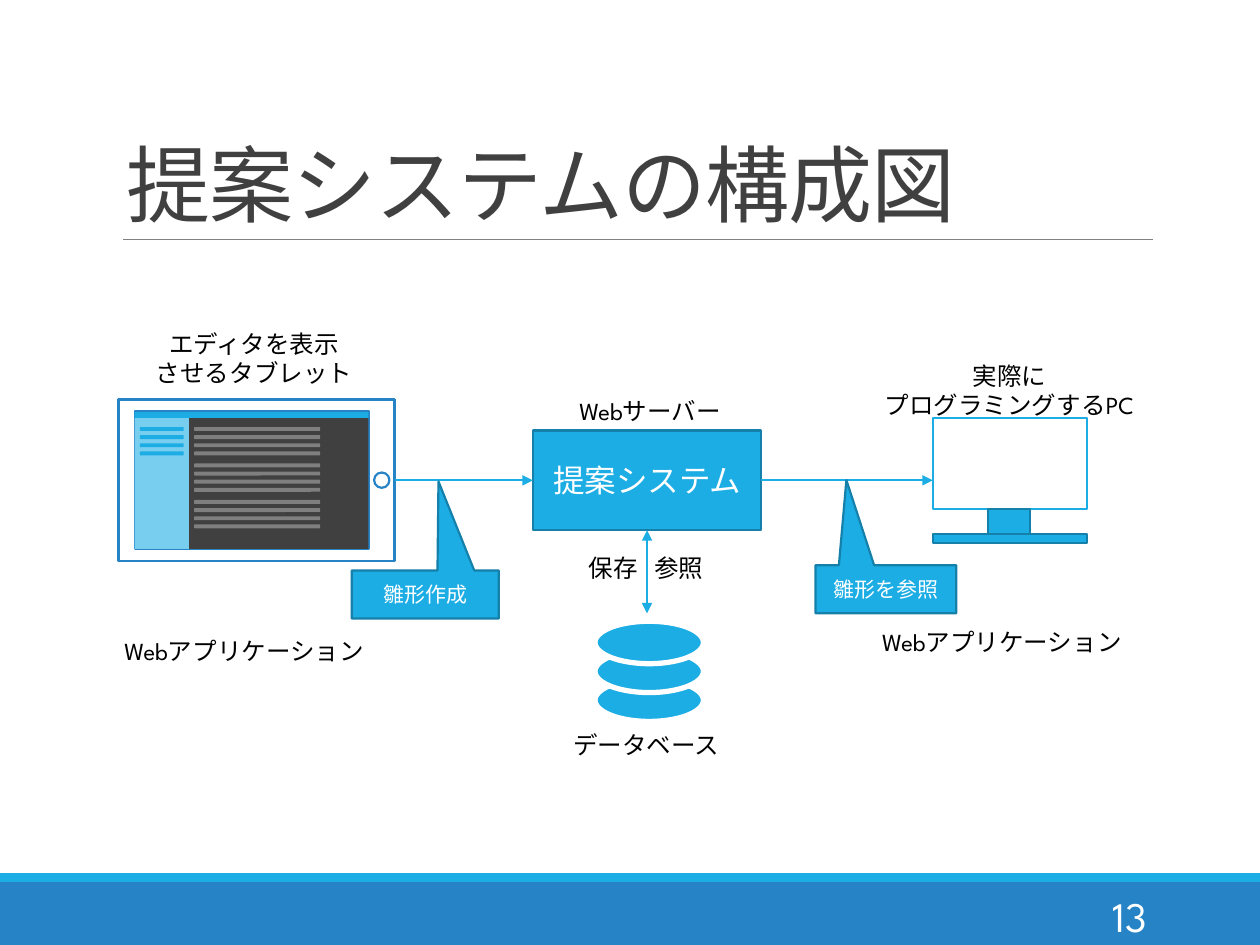
"""Build the slide showing the architecture of the proposed system."""
import pptx
import pptx.dml.color
import pptx.enum.shapes
import pptx.enum.text
import pptx.oxml.ns
import pptx.util
from lxml import etree

Pt = pptx.util.Pt
RGB = pptx.dml.color.RGBColor
SHAPE = pptx.enum.shapes.MSO_SHAPE
ALIGN = pptx.enum.text.PP_ALIGN
ANCHOR = pptx.enum.text.MSO_ANCHOR
qn = pptx.oxml.ns.qn

FONT = "League Spartan"
SKY = RGB(0x1C, 0xAD, 0xE4)
BLUE = RGB(0x26, 0x83, 0xC6)
EDGE = RGB(0x15, 0x80, 0xA9)
PALE = RGB(0x77, 0xCE, 0xEF)
DARK = RGB(0x40, 0x40, 0x40)
GRAY = RGB(0x80, 0x80, 0x80)
SILVER = RGB(0xBF, 0xBF, 0xBF)
WHITE = RGB(0xFF, 0xFF, 0xFF)
BLACK = RGB(0, 0, 0)

TITLE = "提案システムの構成図"
PAGE_NUMBER = "13"
SYSTEM = "提案システム"
LABELS = [
    ("エディタを表示\vさせるタブレット", (65, 184.5, 160.5, 41), ALIGN.CENTER),
    ("Webサーバー", (307.5, 222.5, 128, 24.5), ALIGN.CENTER),
    ("実際に\vプログラミングするPC", (494.5, 202.5, 164.5, 41), ALIGN.CENTER),
    ("保存", (325.5, 312.5, 50, 24.5), ALIGN.CENTER),
    ("参照", (363, 312.5, 50, 24.5), ALIGN.CENTER),
    ("データベース", (314.5, 413.5, 109.5, 24.5), ALIGN.CENTER),
    ("Webアプリケーション", (64, 360, 160, 24.5), ALIGN.LEFT),
    ("Webアプリケーション", (497, 355, 160, 24.5), ALIGN.LEFT),
]
CALLOUTS = [
    ("雛形を参照", (466, 323, 80.5, 27.5), (-0.28, -2.27)),
    ("雛形作成", (201, 326, 84, 27.5), (0.09, -2.35)),
]

SERVER_BOX = (304.5, 246, 130.5, 57)
TABLET_BOX = (67.75, 228.25, 157.75, 92.5)
MONITOR_BOX = (533, 239, 88, 52)
FLOW_Y = SERVER_BOX[1] + SERVER_BOX[3] / 2
SERVER_X = SERVER_BOX[0] + SERVER_BOX[2] / 2
SIDEBAR_LINES = 4
CODE_BLOCKS, BLOCK_LINES = 3, 4
LINES_TOP, LINE_PITCH, BLOCK_PITCH, LINE_HEIGHT = 244, 4.65, 20.85, 2.25
DISKS, DISK_TOP, DISK_PITCH = 3, 355, 16.5

deck = pptx.Presentation()
deck.slide_width, deck.slide_height = Pt(720), Pt(540)
slide = deck.slides.add_slide(deck.slide_layouts[6])


def write(holder, text, size, color, align, anchor):
    frame = holder.text_frame
    frame.word_wrap = True
    frame.vertical_anchor = anchor
    frame.text = text
    paragraph = frame.paragraphs[0]
    paragraph.alignment = align
    paragraph.font.size = Pt(size)
    paragraph.font.name = FONT
    paragraph.font.color.rgb = color
    return paragraph


def add_text(text, box, size, color, align, anchor=ANCHOR.TOP):
    holder = slide.shapes.add_textbox(*map(Pt, box))
    return write(holder, text, size, color, align, anchor)


def add_part(box, fill=None, edge=None, width=1.25, kind=SHAPE.RECTANGLE):
    part = slide.shapes.add_shape(kind, *map(Pt, box))
    part.shadow.inherit = False
    if fill is None:
        part.fill.background()
    else:
        part.fill.solid()
        part.fill.fore_color.rgb = fill
    if edge is None:
        part.line.fill.background()
    else:
        part.line.color.rgb = edge
        part.line.width = Pt(width)
    return part


def add_line(start, end, color, width, arrows=()):
    line = slide.shapes.add_connector(
        pptx.enum.shapes.MSO_CONNECTOR.STRAIGHT, *map(Pt, start + end))
    line.line.color.rgb = color
    line.line.width = Pt(width)
    properties = line._element.spPr
    for arrow in arrows:
        etree.SubElement(properties.find(qn("a:ln")), qn(arrow), type="triangle")
    etree.SubElement(properties, qn("a:effectLst"))
    return line


def add_text_lines(left, top, width, count, color, alpha=None):
    for index in range(count):
        bar = add_part((left, top + index * LINE_PITCH, width, LINE_HEIGHT),
                       color, kind=SHAPE.ROUNDED_RECTANGLE)
        if alpha is not None:
            tint = bar._element.spPr.find(qn("a:solidFill"))[0]
            etree.SubElement(tint, qn("a:alpha"), val=str(alpha * 1000))


add_part((0, 504, 720, 36), BLUE)
add_part((0, 499, 720, 5), SKY)
add_line((70.5, 137), (659, 137), GRAY, 0.5)
title = add_text(TITLE, (65, 22.5, 594, 114.5), 48, DARK, ALIGN.LEFT, ANCHOR.BOTTOM)
title.line_spacing = 0.85
title.runs[0]._r.get_or_add_rPr().set("spc", "-50")
add_text(PAGE_NUMBER, (584.5, 508.5, 78, 29), 24, WHITE, ALIGN.RIGHT, ANCHOR.MIDDLE)

server = add_part(SERVER_BOX, SKY, EDGE)
write(server, SYSTEM, 18, WHITE, ALIGN.CENTER, ANCHOR.MIDDLE)

tablet = add_part(TABLET_BOX, WHITE, BLUE)
add_part((77, 234.75, 134, 78.75), None, BLUE)
add_part((77, 235.5, 133.5, 3.5), SKY)
add_part((213.75, 270, 8.75, 8.75), WHITE, BLUE, kind=SHAPE.OVAL)
add_part((108, 239, 102.5, 74.75), DARK)
add_part((77, 239, 31, 74.75), PALE)
add_text_lines(80, LINES_TOP, 25, SIDEBAR_LINES, SKY)
for block in range(CODE_BLOCKS):
    add_text_lines(111, LINES_TOP + block * BLOCK_PITCH, 72, BLOCK_LINES, SILVER, 50)

for level in reversed(range(DISKS)):
    add_part((340, DISK_TOP + level * DISK_PITCH, 62, 24.25), SKY, WHITE, 3, SHAPE.OVAL)

add_part(MONITOR_BOX, WHITE, SKY)
add_part((564.5, 291, 24, 14.25), SKY, EDGE)
add_part((533, 305.25, 88, 5), SKY, EDGE)

create = add_line((TABLET_BOX[0] + TABLET_BOX[2], FLOW_Y), (SERVER_BOX[0], FLOW_Y),
                  SKY, 1, ["a:tailEnd"])
create.begin_connect(tablet, 3)
create.end_connect(server, 1)
refer = add_line((SERVER_BOX[0] + SERVER_BOX[2], FLOW_Y), (MONITOR_BOX[0], FLOW_Y),
                 SKY, 1, ["a:tailEnd"])
refer.begin_connect(server, 3)
storage = add_line((SERVER_X, 350.5), (SERVER_X, SERVER_BOX[1] + SERVER_BOX[3]),
                   SKY, 1, ["a:headEnd", "a:tailEnd"])
storage.end_connect(server, 2)

for text, box, tip in CALLOUTS:
    callout = add_part(box, SKY, EDGE, kind=SHAPE.RECTANGULAR_CALLOUT)
    callout.adjustments[0], callout.adjustments[1] = tip
    write(callout, text, 12, WHITE, ALIGN.CENTER, ANCHOR.MIDDLE)
for text, box, align in LABELS:
    add_text(text, box, 14, BLACK, align)

deck.save("out.pptx")
